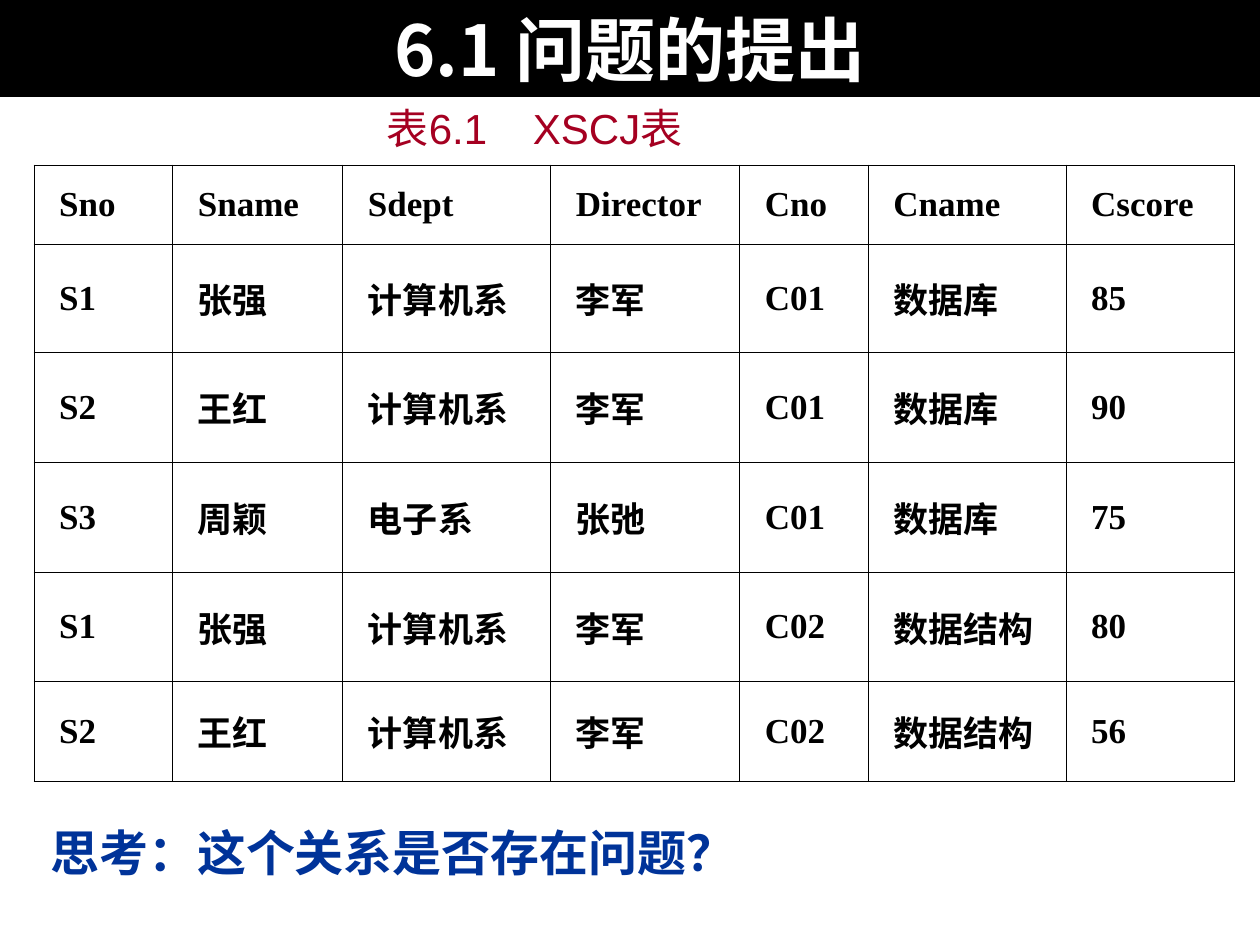
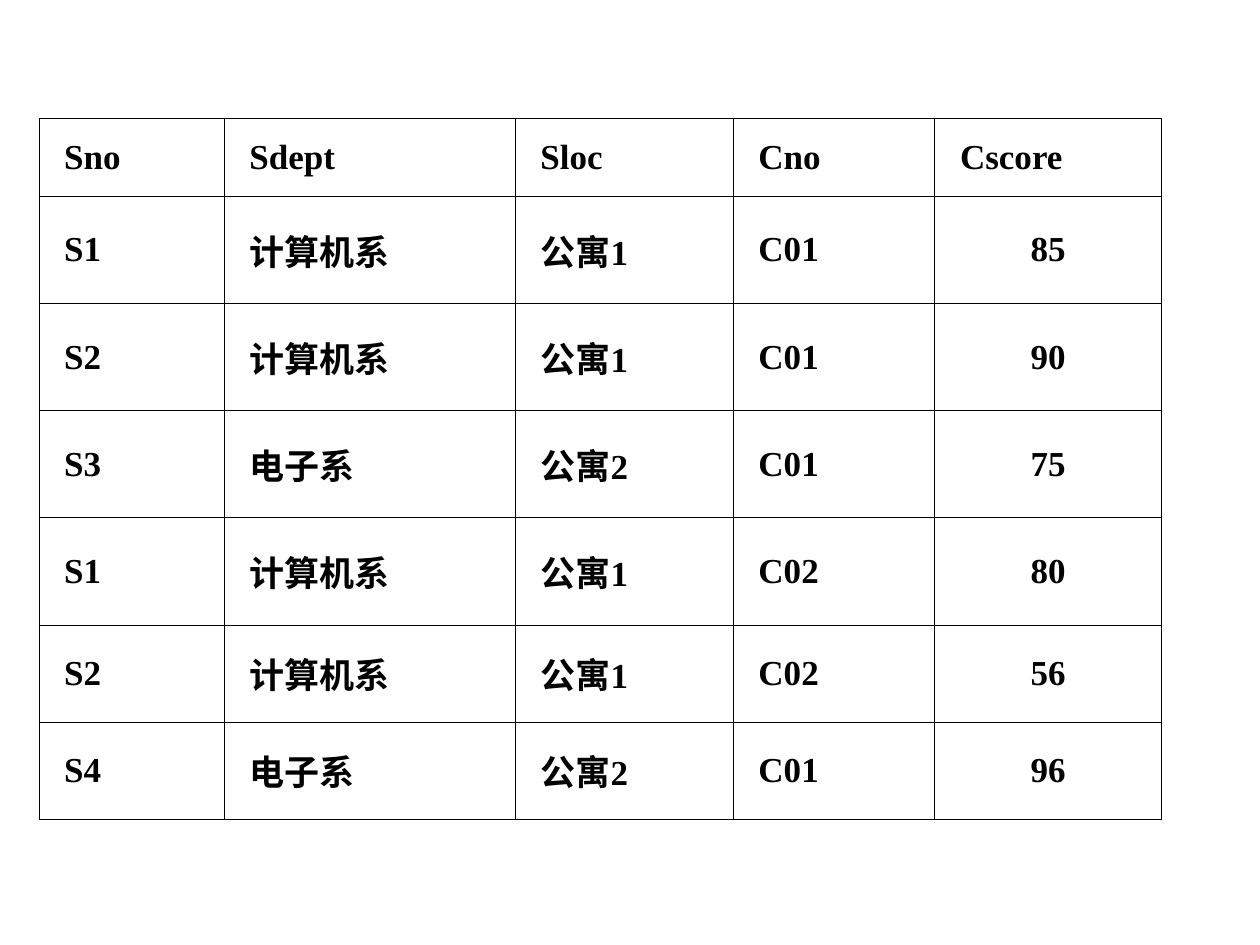
from dataclasses import dataclass

import pptx
import pptx.dml.color
import pptx.enum.lang
import pptx.enum.text
import pptx.oxml
import pptx.oxml.ns
import pptx.util
from pptx.util import Inches

COLORS = {"black": "000000", "white": "FFFFFF", "caption": "A50021", "question": "003399"}
CJK_FONT = "Noto Sans CJK SC"
BORDER_WIDTH = 0.45
TITLE_ONLY, BLANK = 5, 6
CENTER = pptx.enum.text.PP_ALIGN.CENTER
MIDDLE = pptx.enum.text.MSO_ANCHOR.MIDDLE


@dataclass(frozen=True)
class TextStyle:
    size: float
    color: str
    latin: str = "Arial"
    bold: bool = False


@dataclass(frozen=True)
class Box:
    left: float
    top: float
    width: float
    height: float


@dataclass(frozen=True)
class Grid:
    left: float
    top: float
    column_widths: tuple[float, ...]
    row_heights: tuple[float, ...]
    rows: tuple[tuple[str, ...], ...]
    centered_columns: tuple[int, ...] = ()


TITLE_STYLE = TextStyle(40, "white", CJK_FONT, True)
CAPTION_STYLE = TextStyle(24, "caption")
QUESTION_STYLE = TextStyle(28, "question", bold=True)
CELL_STYLE = TextStyle(20, "black", "Times New Roman", True)

SCORE_GRID = Grid(
    0.27, 1.31,
    (1.1, 1.35, 1.65, 1.5, 1.02, 1.57, 1.34),
    (0.63, 0.86, 0.87, 0.87, 0.87, 0.79),
    (
        ("Sno", "Sname", "Sdept", "Director", "Cno", "Cname", "Cscore"),
        ("S1", "张强", "计算机系", "李军", "C01", "数据库", "85"),
        ("S2", "王红", "计算机系", "李军", "C01", "数据库", "90"),
        ("S3", "周颖", "电子系", "张弛", "C01", "数据库", "75"),
        ("S1", "张强", "计算机系", "李军", "C02", "数据结构", "80"),
        ("S2", "王红", "计算机系", "李军", "C02", "数据结构", "56"),
    ),
)
LODGING_GRID = Grid(
    0.31, 0.94,
    (1.47, 2.31, 1.73, 1.6, 1.8),
    (0.62, 0.85, 0.85, 0.85, 0.85, 0.77, 0.77),
    (
        ("Sno", "Sdept", "Sloc", "Cno", "Cscore"),
        ("S1", "计算机系", "公寓1", "C01", "85"),
        ("S2", "计算机系", "公寓1", "C01", "90"),
        ("S3", "电子系", "公寓2", "C01", "75"),
        ("S1", "计算机系", "公寓1", "C02", "80"),
        ("S2", "计算机系", "公寓1", "C02", "56"),
        ("S4", "电子系", "公寓2", "C01", "96"),
    ),
    centered_columns=(4,),
)


def rgb(color: str) -> pptx.dml.color.RGBColor:
    return pptx.dml.color.RGBColor.from_string(COLORS[color])


def xml_element(tag: str, attributes: str, content: str = ""):
    namespace = pptx.oxml.ns.nsdecls("a")
    return pptx.oxml.parse_xml(f"<a:{tag} {namespace} {attributes}>{content}</a:{tag}>")


def write_text(text_frame, text: str, style: TextStyle) -> None:
    text_frame.text = text
    for run in text_frame.paragraphs[0].runs:
        run.font.size = pptx.util.Pt(style.size)
        run.font.bold = style.bold
        run.font.color.rgb = rgb(style.color)
        run.font.name = style.latin
        run.font.language_id = pptx.enum.lang.MSO_LANGUAGE_ID.SIMPLIFIED_CHINESE
        run.font._element.append(xml_element("ea", f'typeface="{CJK_FONT}"'))


def set_margins(target) -> None:
    """Apply the shared insets to a text frame or a table cell."""
    target.margin_left = target.margin_right = Inches(0.2)
    target.margin_top = target.margin_bottom = Inches(0.05)
    target.vertical_anchor = MIDDLE


def fill_text_shape(shape, box: Box, text: str, style: TextStyle) -> None:
    shape.left, shape.top = Inches(box.left), Inches(box.top)
    shape.width, shape.height = Inches(box.width), Inches(box.height)
    text_frame = shape.text_frame
    text_frame.word_wrap = True
    text_frame.auto_size = pptx.enum.text.MSO_AUTO_SIZE.NONE
    set_margins(text_frame)
    write_text(text_frame, text, style)


def add_text(slide, box: Box, text: str, style: TextStyle):
    shape = slide.shapes.add_textbox(0, 0, 0, 0)
    fill_text_shape(shape, box, text, style)
    return shape


def add_tab_stop(paragraph, position: float) -> None:
    stop = f'<a:tab pos="{Inches(position)}" algn="l"/>'
    paragraph._p.get_or_add_pPr().append(xml_element("tabLst", "", stop))


def add_borders(cell) -> None:
    line = f'<a:solidFill><a:srgbClr val="{COLORS["black"]}"/></a:solidFill>'
    properties = cell._tc.get_or_add_tcPr()
    for side in "LRTB":
        width = pptx.util.Pt(BORDER_WIDTH)
        properties.append(xml_element(f"ln{side}", f'w="{width}"', line))


def add_grid(slide, grid: Grid) -> None:
    frame = slide.shapes.add_table(
        len(grid.row_heights), len(grid.column_widths),
        Inches(grid.left), Inches(grid.top),
        Inches(sum(grid.column_widths)), Inches(sum(grid.row_heights)),
    )
    table = frame.table
    table.first_row = table.horz_banding = False
    for column, width in zip(table.columns, grid.column_widths):
        column.width = Inches(width)
    for row, height in zip(table.rows, grid.row_heights):
        row.height = Inches(height)
    for row_index, values in enumerate(grid.rows):
        for column_index, value in enumerate(values):
            cell = table.cell(row_index, column_index)
            set_margins(cell)
            add_borders(cell)
            cell.fill.background()
            write_text(cell.text_frame, value, CELL_STYLE)
            if row_index > 0 and column_index in grid.centered_columns:
                cell.text_frame.paragraphs[0].alignment = CENTER


def build_score_slide(presentation) -> None:
    slide = presentation.slides.add_slide(presentation.slide_layouts[TITLE_ONLY])
    title = slide.shapes.title
    fill_text_shape(title, Box(0, 0, 10, 0.77), "6.1 问题的提出", TITLE_STYLE)
    title.text_frame.paragraphs[0].alignment = CENTER
    title.fill.solid()
    title.fill.fore_color.rgb = rgb("black")

    add_grid(slide, SCORE_GRID)
    caption = add_text(slide, Box(2.87, 0.76, 4.41, 0.5), "表6.1\tXSCJ表", CAPTION_STYLE)
    add_tab_stop(caption.text_frame.paragraphs[0], 1.16)
    add_text(slide, Box(0.2, 6.48, 9.53, 0.57), "思考：这个关系是否存在问题？", QUESTION_STYLE)


def build_lodging_slide(presentation) -> None:
    slide = presentation.slides.add_slide(presentation.slide_layouts[BLANK])
    add_grid(slide, LODGING_GRID)


def main() -> None:
    presentation = pptx.Presentation()
    presentation.slide_width, presentation.slide_height = Inches(10), Inches(7.5)
    build_score_slide(presentation)
    build_lodging_slide(presentation)
    presentation.save("out.pptx")


if __name__ == "__main__":
    main()
